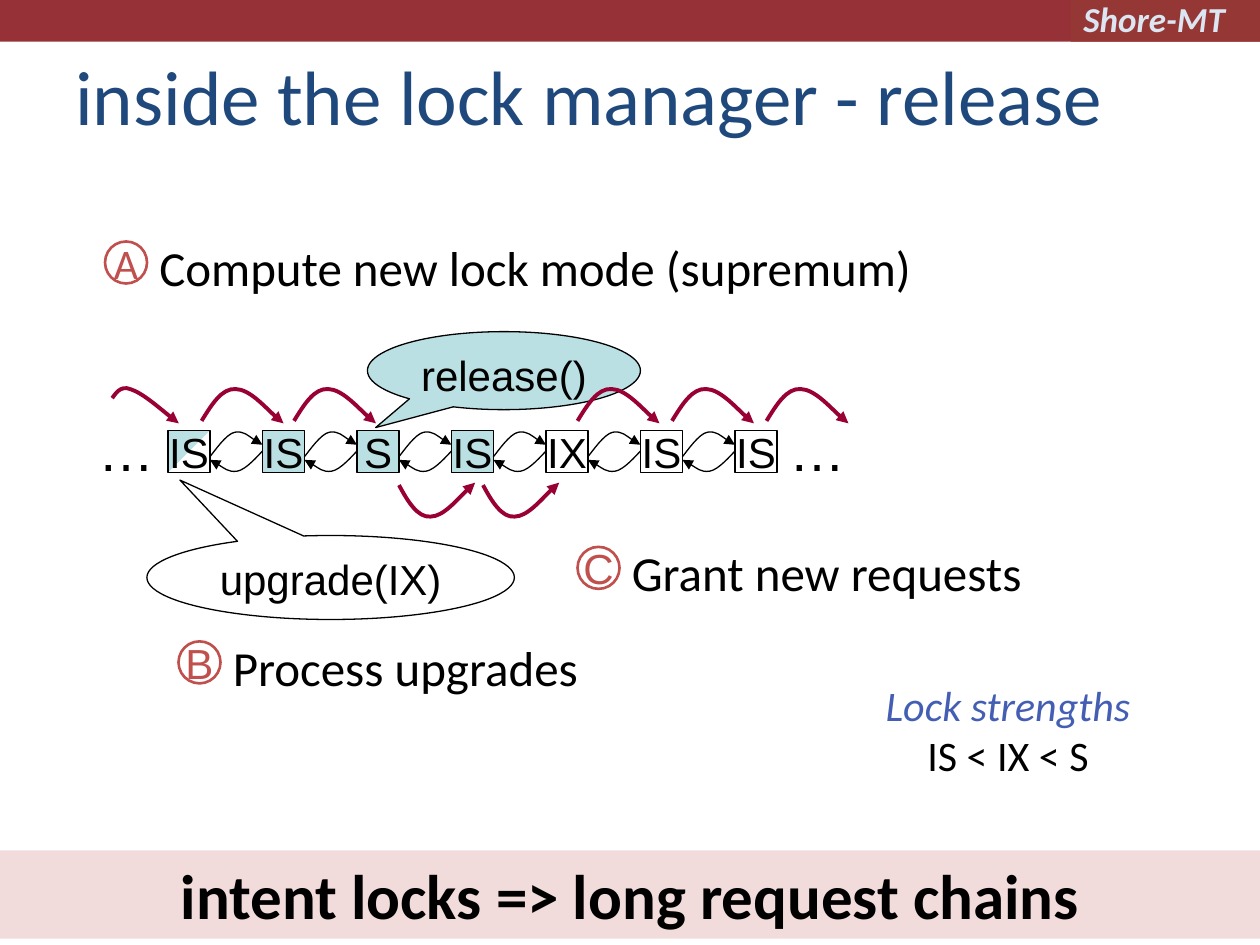
from dataclasses import dataclass
from typing import Optional

from lxml.etree import SubElement
from pptx import Presentation
from pptx.dml.color import RGBColor
from pptx.enum.shapes import MSO_SHAPE
from pptx.enum.text import MSO_ANCHOR, PP_ALIGN
from pptx.oxml.ns import qn
from pptx.util import Pt

COLORS = {
    "bar": "963237", "tag": "953735", "tag_text": "DCE6F2", "title": "1F497D",
    "step": "C0504D", "note": "435EB3", "banner": "F2DCDB", "granted": "BBE0E3",
    "arc": "990033", "black": "000000", "white": "FFFFFF",
}
BOX, PITCH, CHAIN_LEFT, CHAIN_TOP = 24, 54, 96, 246


@dataclass
class Style:
    size: float
    font: str = "Calibri"
    color: str = "black"
    bold: bool = False
    italic: bool = False
    align: PP_ALIGN = PP_ALIGN.LEFT
    anchor: MSO_ANCHOR = MSO_ANCHOR.TOP
    wrap: bool = True


@dataclass
class Step:
    letter: str
    text: str
    left: float
    top: float
    width: float
    font: str = "Arial"


@dataclass
class Request:
    mode: str
    fill: Optional[str]


STEPS = [
    Step("B", "Process upgrades", 102, 366.5, 342),
    Step("C", "Grant new requests", 330, 312.5, 324),
    Step("A", "Compute new lock mode (supremum)", 60, 138, 504, "Calibri"),
]
REQUESTS = [
    Request("IS", None), Request("IS", "granted"), Request("S", "granted"),
    Request("IS", "granted"), Request("IX", "white"), Request("IS", "white"),
    Request("IS", "white"),
]

# Curves: a start point, then three points for each Bezier segment
NEXT_LINK = [(0, 261), (2.2, 258.5), (9.4, 247.7), (14.4, 247),
             (19.4, 246.2), (26.6, 252.7), (30, 254.2)]
BACK_LINK = [(30, 257.8), (27.8, 260), (20.6, 268.6), (15.5, 269.3),
             (10.5, 270), (3.3, 264.2), (0, 262.8)]
UPPER_ARC = [(0, 240.5), (5.8, 231.1), (11.5, 221.8), (19.4, 222.3),
             (27.4, 222.5), (41, 237.6), (46.8, 241.9)]
LOWER_ARC = [(0, 277.2), (5, 286.6), (10.8, 295.9), (18, 295.2),
             (25.2, 295.2), (38.2, 280.1), (43.5, 275.8)]
LEAD_IN_ARC = [(0, 227.5), (1.4, 226.1), (4.3, 219.6), (10.8, 222.5),
               (17.3, 224.6), (32.4, 237.6), (38.1, 241.9)]


def rgb(name: str) -> RGBColor:
    return RGBColor.from_string(COLORS[name])


def set_font(font, style: Style) -> None:
    font.name, font.size = style.font, Pt(style.size)
    font.bold, font.italic = style.bold, style.italic
    font.color.rgb = rgb(style.color)


def write(shape, text: str, style: Style):
    frame = shape.text_frame
    frame.word_wrap, frame.vertical_anchor = style.wrap, style.anchor
    paragraph = frame.paragraphs[0]
    paragraph.text, paragraph.alignment = text, style.align
    set_font(paragraph.font, style)
    return paragraph


def add_text(slide, box: tuple, text: str, style: Style):
    return write(slide.shapes.add_textbox(*map(Pt, box)), text, style)


def paint(shape, fill: Optional[str], line: Optional[str], width: float) -> None:
    shape.shadow.inherit = False
    if fill:
        shape.fill.solid()
        shape.fill.fore_color.rgb = rgb(fill)
    else:
        shape.fill.background()
    if line:
        shape.line.color.rgb, shape.line.width = rgb(line), Pt(width)
    else:
        shape.line.fill.background()


def add_shape(slide, kind: MSO_SHAPE, box: tuple, fill: Optional[str] = None,
              line: Optional[str] = None, width: float = 0.75):
    shape = slide.shapes.add_shape(kind, *map(Pt, box))
    paint(shape, fill, line, width)
    return shape


def add_curve(slide, points: list, left: float, color: str, width: float) -> None:
    start, *rest = [(Pt(left + x), Pt(y)) for x, y in points]
    builder = slide.shapes.build_freeform(*start)
    builder.add_line_segments(rest, close=False)
    curve = builder.convert_to_shape()
    paint(curve, None, color, width)
    # Turn each three line points into one Bezier segment
    path = curve.element.find(".//" + qn("a:path"))
    segments = path.findall(qn("a:lnTo"))
    for i in range(0, len(segments), 3):
        bezier = SubElement(path, qn("a:cubicBezTo"))
        for segment in segments[i:i + 3]:
            bezier.append(segment[0])
            path.remove(segment)
    SubElement(curve.line._get_or_add_ln(), qn("a:tailEnd"), type="triangle")


def add_callout(slide, box: tuple, tip: tuple, text: str, fill: Optional[str]) -> None:
    callout = add_shape(slide, MSO_SHAPE.OVAL_CALLOUT, box, fill, "black")
    callout.adjustments[0], callout.adjustments[1] = tip
    write(callout, text, Style(24, "Arial", align=PP_ALIGN.CENTER))


def add_step(slide, step: Step) -> None:
    circle = add_shape(slide, MSO_SHAPE.OVAL, (step.left, step.top, 24, 24),
                       line="step", width=1.5)
    write(circle, step.letter, Style(24, step.font, "step", align=PP_ALIGN.CENTER,
                                     anchor=MSO_ANCHOR.MIDDLE, wrap=False))
    add_text(slide, (step.left + 24, step.top - 6, step.width, 41), step.text, Style(28))


def add_request(slide, index: int, request: Request) -> None:
    left = CHAIN_LEFT + index * PITCH
    box = (left, CHAIN_TOP, BOX, BOX)
    if request.fill is None:  # half granted: an upgrade is waiting
        add_shape(slide, MSO_SHAPE.RECTANGLE, box, "white")
        add_shape(slide, MSO_SHAPE.RIGHT_TRIANGLE, box, "granted").rotation = 90
    cell = add_shape(slide, MSO_SHAPE.RECTANGLE, box, request.fill, "black")
    write(cell, request.mode, Style(24, "Arial", align=PP_ALIGN.CENTER,
                                    anchor=MSO_ANCHOR.MIDDLE, wrap=False))
    if index:
        for link in (NEXT_LINK, BACK_LINK):
            add_curve(slide, link, left - PITCH + BOX, "black", 0.75)


def main() -> None:
    prs = Presentation()
    prs.slide_width, prs.slide_height = Pt(720), Pt(540)
    slide = prs.slides.add_slide(prs.slide_layouts[6])

    # Header and title
    add_shape(slide, MSO_SHAPE.RECTANGLE, (0, 0, 720, 23.8), "bar")
    add_shape(slide, MSO_SHAPE.RECTANGLE, (612, 0, 108, 23.8), "tag")
    add_text(slide, (612, -5, 102, 31.5), "Shore-MT",
             Style(20, color="tag_text", bold=True, italic=True))
    add_text(slide, (36, 21.6, 648, 62.6), "inside the lock manager - release",
             Style(44, color="title", anchor=MSO_ANCHOR.BOTTOM))

    # Steps and lock strengths
    for step in STEPS:
        add_step(slide, step)
    note = Style(24, color="note", italic=True, align=PP_ALIGN.CENTER)
    strengths = add_text(slide, (492, 384.5, 168, 65.5), "Lock strengths", note)
    strengths.add_line_break()
    order = strengths.add_run()
    order.text = "IS < IX < S"
    set_font(order.font, Style(24))

    # Conclusion
    banner = add_shape(slide, MSO_SHAPE.RECTANGLE, (0, 486, 720, 50.4), "banner")
    banner.text_frame.margin_top = banner.text_frame.margin_bottom = 0
    write(banner, "intent locks => long request chains",
          Style(36, bold=True, align=PP_ALIGN.CENTER, anchor=MSO_ANCHOR.MIDDLE))

    # Request chain
    for index, request in enumerate(REQUESTS):
        add_request(slide, index, request)
    add_callout(slide, (210, 189.5, 156, 44.6), (-0.47, 0.73), "release()", "granted")
    for left in (49, 444):
        add_text(slide, (left, 234, 46.8, 46), "…", Style(32, "Arial", wrap=False))

    # Walk along the chain
    for left in (115.2, 168, 330, 384, 438):
        add_curve(slide, UPPER_ARC, left, "arc", 2.25)
    for left in (228, 276):
        add_curve(slide, LOWER_ARC, left, "arc", 2.25)
    add_curve(slide, LEAD_IN_ARC, 64.1, "arc", 2.25)
    add_callout(slide, (84, 306, 210, 48), (-0.41, -1.16), "upgrade(IX)", None)

    prs.save("out.pptx")


if __name__ == "__main__":
    main()
